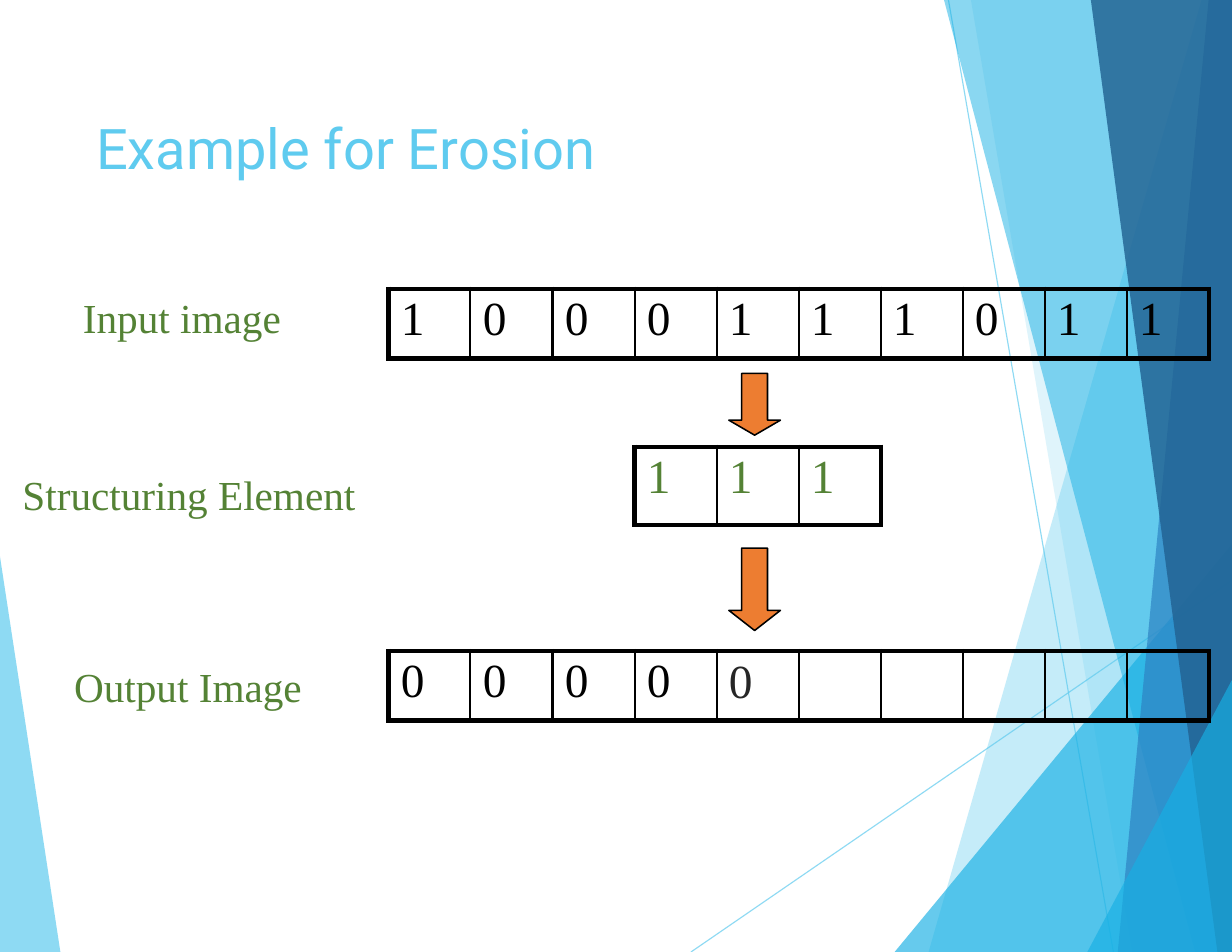
from typing import NamedTuple

from lxml import etree
from pptx import Presentation
from pptx.dml.color import RGBColor
from pptx.enum.shapes import MSO_CONNECTOR, MSO_SHAPE
from pptx.enum.text import MSO_ANCHOR, PP_ALIGN
from pptx.oxml.ns import qn
from pptx.util import Cm, Pt

STRAIGHT = MSO_CONNECTOR.STRAIGHT
DOWN_ARROW = MSO_SHAPE.DOWN_ARROW
TOP = MSO_ANCHOR.TOP
LEFT = PP_ALIGN.LEFT

SKY = RGBColor(0x5F, 0xCB, 0xEF)
CYAN = RGBColor(0x17, 0xB0, 0xE4)
BLUE = RGBColor(0x2E, 0x83, 0xC3)
NAVY = RGBColor(0x22, 0x62, 0x92)
GREEN = RGBColor(0x54, 0x82, 0x35)
ORANGE = RGBColor(0xED, 0x7D, 0x31)
BLACK = RGBColor(0, 0, 0)
CHARCOAL = RGBColor(0x26, 0x26, 0x26)

SERIF = "Times New Roman"
WIDTH, HEIGHT = 27.94, 21.59
GRID_LEFT, CELL = 8.81, 1.86


class Facet(NamedTuple):
    """Translucent panel from a slanted side to a vertical slide edge."""
    top_x: float
    top_y: float
    base_x: float
    colour: RGBColor
    alpha: int
    edge: float = WIDTH


class Ray(NamedTuple):
    x1: float
    y1: float
    x2: float
    y2: float


class PixelRow(NamedTuple):
    first_column: int
    top: float
    height: float
    values: str
    colour: RGBColor


class Arrow(NamedTuple):
    top: float
    height: float
    head: float


class Label(NamedTuple):
    text: str
    indent: float
    space_before: float


class LabelBox(NamedTuple):
    left: float
    top: float
    width: float
    height: float
    labels: list[Label]


LEFT_FACET = Facet(0, 12.62, 1.37, SKY, 70, edge=0)
RIGHT_FACETS = [
    Facet(27.25, 0, 21.06, SKY, 36),
    Facet(22.02, 0, 25.68, SKY, 20),
    Facet(WIDTH, 12.34, 20.29, CYAN, 66),
    Facet(21.41, 0, 27.1, CYAN, 50),
    Facet(27.41, 0, 25.35, BLUE, 70),
    Facet(24.74, 0, 27.61, NAVY, 82),
    Facet(WIDTH, 15.42, 24.66, CYAN, 66),
]
RAYS = [Ray(15.67, HEIGHT, WIDTH, 13.16), Ray(21.51, 0, 25.25, HEIGHT)]
INPUT_ROW = PixelRow(0, 6.55, 1.58, "1000111011", BLACK)
ELEMENT_ROW = PixelRow(3, 10.13, 1.78, "111", GREEN)
OUTPUT_ROW = PixelRow(0, 14.76, 1.58, "00000     ", BLACK)
ARROWS = [Arrow(12.43, 1.87, 0.39), Arrow(8.47, 1.4, 0.29)]
LABEL_BOXES = [
    LabelBox(0.48, 6.58, 7.6, 5.03, [Label("Input image", 1.4, 0.9),
                                     Label("Structuring Element", 0.03, 82.5)]),
    LabelBox(1.65, 14.96, 5.21, 1.19, [Label("Output Image", 0.03, 0.9)]),
]


def set_alpha(fill_parent, percent: int) -> None:
    colour = next(fill_parent.iter(qn("a:srgbClr")))
    etree.SubElement(colour, qn("a:alpha"), val=str(percent * 1000))


def add_facet(s, facet: Facet) -> None:
    corners = [(facet.top_x, facet.top_y), (facet.base_x, HEIGHT),
               (facet.edge, HEIGHT), (facet.edge, facet.top_y)]
    points = [(Cm(x), Cm(y)) for x, y in corners]
    builder = s.shapes.build_freeform(*points[0])
    builder.add_line_segments(points[1:])
    sp = builder.convert_to_shape()
    sp.shadow.inherit = False
    sp.fill.solid()
    sp.fill.fore_color.rgb = facet.colour
    set_alpha(sp._element.spPr, facet.alpha)
    sp.line.fill.background()


def add_ray(s, ray: Ray) -> None:
    line = s.shapes.add_connector(STRAIGHT, *(Cm(v) for v in ray))
    line.line.color.rgb = SKY
    line.line.width = Pt(0.75)
    spPr = line._element.spPr
    set_alpha(spPr, 70)
    etree.SubElement(spPr, qn("a:effectLst"))


def style_run(p, size: float, font: str, colour: RGBColor) -> None:
    for r in p.runs:
        r.font.size = Pt(size)
        r.font.name = font
        r.font.color.rgb = colour


def set_borders(cell, widths: dict[str, float]) -> None:
    tcPr = cell._tc.get_or_add_tcPr()
    for side, width in widths.items():
        ln = etree.SubElement(tcPr, qn(f"a:ln{side}"), w=str(Pt(width)))
        fill = etree.SubElement(ln, qn("a:solidFill"))
        etree.SubElement(fill, qn("a:srgbClr"), val=str(BLACK))


def add_pixel_row(s, row: PixelRow):
    count = len(row.values)
    table = s.shapes.add_table(
        1, count, Cm(GRID_LEFT + row.first_column * CELL), Cm(row.top),
        Cm(count * CELL), Cm(row.height)).table
    table.first_row = table.horz_banding = False
    for i, value in enumerate(row.values):
        cell = table.cell(0, i)
        cell.margin_left, cell.margin_top = Cm(0.28), Cm(0.1)
        cell.margin_right = cell.margin_bottom = 0
        set_borders(cell, {"L": 3 if i == 0 else 1.5,
                           "R": 3 if i == count - 1 else 1.5,
                           "T": 3, "B": 3})
        cell.fill.background()
        if value != " ":
            p = cell.text_frame.paragraphs[0]
            p.text = value
            p.space_before = Pt(3.1)
            style_run(p, 30.5, SERIF, row.colour)
    return table


def add_arrow(s, arrow: Arrow) -> None:
    sp = s.shapes.add_shape(DOWN_ARROW, Cm(16.53), Cm(arrow.top),
                            Cm(1.17), Cm(arrow.height))
    sp.adjustments[0] = 0.5
    sp.adjustments[1] = arrow.head
    sp.shadow.inherit = False
    sp.fill.solid()
    sp.fill.fore_color.rgb = ORANGE
    sp.line.color.rgb = BLACK
    sp.line.width = Pt(1)


def clear_margins(tf) -> None:
    tf.margin_left = tf.margin_right = tf.margin_bottom = 0
    tf.margin_top = Cm(0.04)
    tf.vertical_anchor = TOP
    tf.word_wrap = True


def add_labels(s, box: LabelBox) -> None:
    tf = s.shapes.add_textbox(*(Cm(v) for v in box[:4])).text_frame
    clear_margins(tf)
    tf.text = "\n".join(label.text for label in box.labels)
    for p, label in zip(tf.paragraphs, box.labels):
        p.space_before = Pt(label.space_before)
        p._p.get_or_add_pPr().set("marL", str(Cm(label.indent)))
        style_run(p, 26.5, SERIF, GREEN)


def format_title(title) -> None:
    title.left, title.top = Cm(2.18), Cm(2.54)
    title.width, title.height = Cm(14.38), Cm(1.6)
    clear_margins(title.text_frame)
    title.text_frame.text = "Example for Erosion"
    p = title.text_frame.paragraphs[0]
    p.alignment = LEFT
    p.space_before = Pt(1.4)
    style_run(p, 36, "Roboto", SKY)


def main() -> None:
    prs = Presentation()
    prs.slide_width, prs.slide_height = Cm(WIDTH), Cm(HEIGHT)
    s = prs.slides.add_slide(prs.slide_layouts[5])
    format_title(s.shapes.title)
    add_facet(s, LEFT_FACET)
    for ray in RAYS:
        add_ray(s, ray)
    for facet in RIGHT_FACETS:
        add_facet(s, facet)
    add_pixel_row(s, INPUT_ROW)
    for box in LABEL_BOXES:
        add_labels(s, box)
    add_pixel_row(s, ELEMENT_ROW)
    for arrow in ARROWS:
        add_arrow(s, arrow)
    output = add_pixel_row(s, OUTPUT_ROW)
    newest = output.cell(0, 4)
    newest.margin_top = Cm(0.13)
    style_run(newest.text_frame.paragraphs[0], 30.5, SERIF, CHARCOAL)
    prs.save("out.pptx")


if __name__ == "__main__":
    main()
